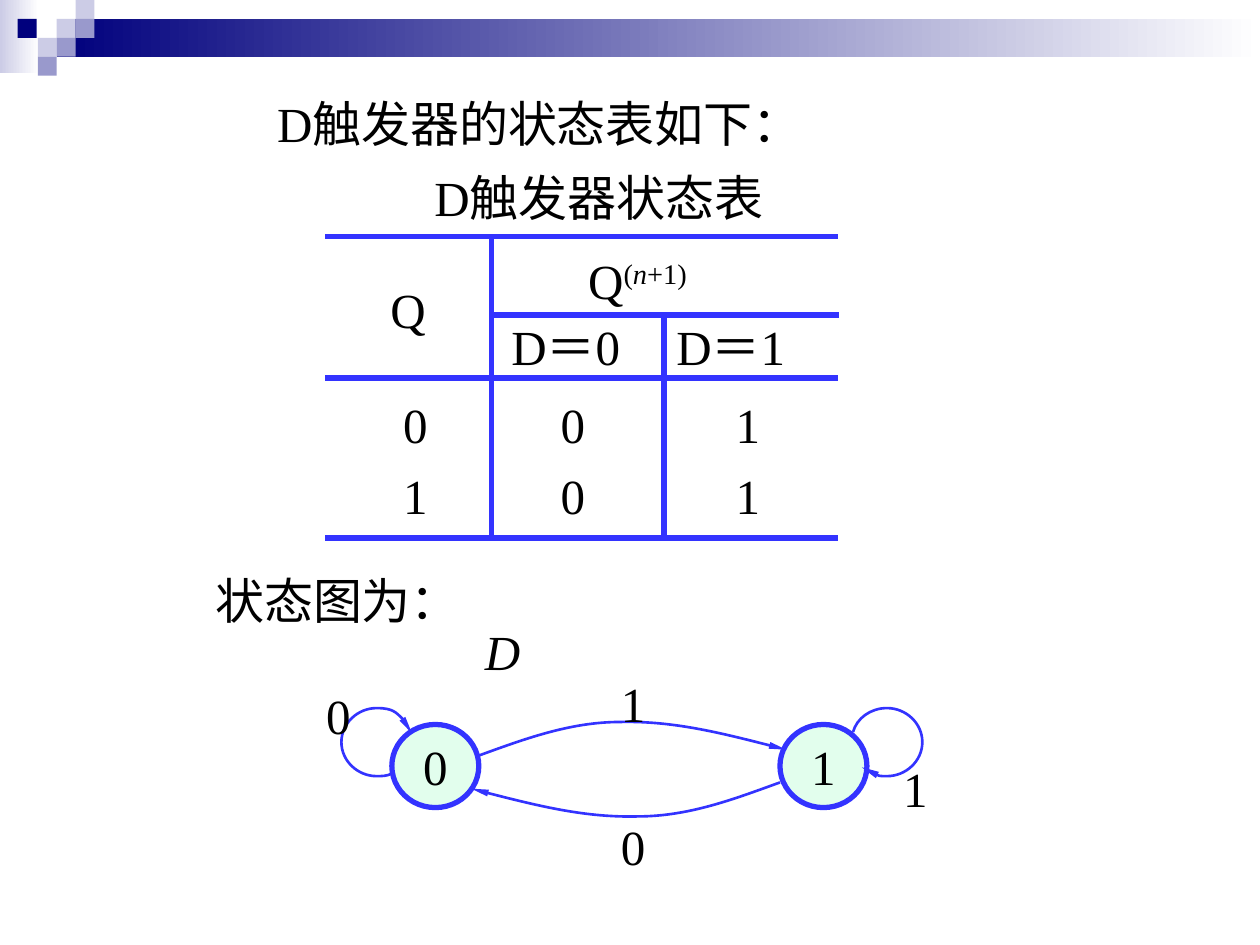
from itertools import chain
from typing import NamedTuple

from lxml import etree
from pptx import Presentation
from pptx.dml.color import RGBColor
from pptx.enum.shapes import MSO_CONNECTOR, MSO_SHAPE
from pptx.enum.text import MSO_ANCHOR, MSO_AUTO_SIZE, PP_ALIGN
from pptx.oxml.ns import qn
from pptx.util import Pt

RECTANGLE, OVAL = MSO_SHAPE.RECTANGLE, MSO_SHAPE.OVAL
STRAIGHT = MSO_CONNECTOR.STRAIGHT
MIDDLE, CENTER = MSO_ANCHOR.MIDDLE, PP_ALIGN.CENTER
FIT_SHAPE = MSO_AUTO_SIZE.SHAPE_TO_FIT_TEXT

SCALE = 9144
FONT, TEXT_SIZE = "Times New Roman", Pt(28)
LABEL_HEIGHT = 57
COLORS = {
    "navy": "00007D",
    "lilac": "9999CC",
    "pale": "CCCCE6",
    "white": "FFFFFF",
    "blue": "3333FF",
    "mint": "E2FEED",
    "black": "000000",
}

Point = tuple[int, int]


class Band(NamedTuple):
    left: int
    top: int
    width: int
    height: int
    start: str


class Tile(NamedTuple):
    left: int
    top: int
    color: str


class Label(NamedTuple):
    left: int
    top: int
    width: int
    text: str
    italic: bool = False


class Column(NamedTuple):
    left: int
    values: tuple[str, str]


class Rule(NamedTuple):
    start: Point
    end: Point


class State(NamedTuple):
    left: int
    name: str


class Curve(NamedTuple):
    start: Point
    segments: list[tuple[Point, Point, Point]]


BANDS = [Band(0, 0, 31, 58, "pale"), Band(45, 15, 955, 30, "navy")]
TILE_SIZE = 15
TILES = [
    Tile(45, 15, "pale"), Tile(60, 0, "pale"), Tile(60, 15, "lilac"),
    Tile(30, 30, "pale"), Tile(14, 15, "navy"), Tile(45, 30, "lilac"),
    Tile(30, 45, "lilac"),
]
RULES = [Rule((258, y), (665, y)) for y in (188, 300, 427)] + [
    Rule((390, 186), (390, 426)),
    Rule((391, 250), (666, 250)),
    Rule((527, 250), (527, 425)),
]
COLUMNS = [Column(310, ("0", "1")), Column(435, ("0", "0")), Column(574, ("1", "1"))]
LABELS = [
    Label(210, 69, 445, "D触发器的状态表如下："),
    Label(335, 128, 294, "D触发器状态表"),
    Label(300, 217, 48, "Q"),
    Label(396, 246, 125, "D＝0"),
    Label(527, 246, 125, "D＝1"),
    Label(161, 448, 214, "状态图为："),
    Label(249, 539, 39, "0"),
    Label(707, 597, 39, "1"),
    Label(375, 488, 48, "D", True),
    Label(483, 530, 39, "1"),
    Label(483, 643, 39, "0"),
]
STATES = [State(311, "0"), State(619, "1")]
CURVES = [
    Curve((379, 600), [((415, 587), (452, 573), (492, 573)),
                       ((533, 572), (578, 583), (624, 595))]),
    Curve((619, 621), [((583, 634), (547, 648), (506, 648)),
                       ((465, 649), (420, 638), (374, 626))]),
    Curve((311, 614), [((307, 616), (303, 616), (299, 616)),
                       ((284, 616), (271, 604), (271, 589)),
                       ((271, 574), (284, 562), (299, 562)),
                       ((312, 562), (323, 571), (327, 582))]),
    Curve((677, 581), [((680, 570), (691, 562), (704, 562)),
                       ((719, 562), (732, 574), (732, 589)),
                       ((732, 604), (719, 616), (704, 616)),
                       ((696, 616), (689, 613), (684, 609))]),
]


def px(*lengths: int) -> list[int]:
    return [length * SCALE for length in lengths]


def rgb(name: str) -> RGBColor:
    return RGBColor.from_string(COLORS[name])


def set_line(shape, width: float) -> None:
    shape.line.color.rgb = rgb("blue")
    shape.line.width = Pt(width)


def set_font(paragraph) -> None:
    paragraph.font.name = FONT
    paragraph.font.size = TEXT_SIZE
    paragraph.font.color.rgb = rgb("black")


def add_plain(page, kind, left: int, top: int, width: int, height: int):
    shape = page.shapes.add_shape(kind, *px(left, top, width, height))
    shape.shadow.inherit = False
    shape.line.fill.background()
    return shape


def add_band(page, band: Band) -> None:
    shape = add_plain(page, RECTANGLE, *band[:4])
    shape.fill.gradient()
    shape.fill.gradient_angle = 0
    for stop, color in zip(shape.fill.gradient_stops, (band.start, "white")):
        stop.color.rgb = rgb(color)


def add_tile(page, tile: Tile) -> None:
    shape = add_plain(page, RECTANGLE, tile.left, tile.top, TILE_SIZE, TILE_SIZE)
    shape.fill.solid()
    shape.fill.fore_color.rgb = rgb(tile.color)


def add_frame(page, left: int, top: int, width: int, height: int):
    frame = page.shapes.add_textbox(*px(left, top, width, height)).text_frame
    frame.word_wrap = False
    frame.auto_size = FIT_SHAPE
    return frame


def add_label(page, label: Label) -> None:
    frame = add_frame(page, label.left, label.top, label.width, LABEL_HEIGHT)
    para = frame.paragraphs[0]
    para.text = label.text
    set_font(para)
    para.font.italic = label.italic


def add_next_state(page) -> None:
    para = add_frame(page, 457, 194, 98, LABEL_HEIGHT).paragraphs[0]
    set_font(para)
    para.add_run().text = "Q"
    for text, italic in (("(", False), ("n", True), ("+1)", False)):
        span = para.add_run()
        span.text = text
        span.font.italic = italic
        span.font._element.set("baseline", "30000")


def add_column(page, column: Column) -> None:
    frame = add_frame(page, column.left, 299, 39, 122)
    frame.text = "\n".join(column.values)
    for para in frame.paragraphs:
        para.line_spacing = 1.2
        set_font(para)


def add_rule(page, rule: Rule) -> None:
    line = page.shapes.add_connector(STRAIGHT, *px(*rule.start, *rule.end))
    set_line(line, 3)
    etree.SubElement(line._element.spPr, qn("a:effectLst"))


def add_state(page, state: State) -> None:
    shape = add_plain(page, OVAL, state.left, 575, 69, 66)
    shape.fill.solid()
    shape.fill.fore_color.rgb = rgb("mint")
    set_line(shape, 3)
    frame = shape.text_frame
    frame.word_wrap = False
    frame.vertical_anchor = MIDDLE
    para = frame.paragraphs[0]
    para.text = state.name
    para.alignment = CENTER
    set_font(para)


def bend_segments(shape) -> None:
    lines = list(shape._element.iter(qn("a:lnTo")))
    for first, second, end in zip(lines[::3], lines[1::3], lines[2::3]):
        first.tag = qn("a:cubicBezTo")
        for line in (second, end):
            first.append(line[0])
            line.getparent().remove(line)


def add_curve(page, curve: Curve) -> None:
    builder = page.shapes.build_freeform(*curve.start, scale=SCALE)
    builder.add_line_segments(list(chain(*curve.segments)), close=False)
    shape = builder.convert_to_shape()
    bend_segments(shape)
    shape.shadow.inherit = False
    shape.fill.background()
    set_line(shape, 1.5)
    outline = shape._element.spPr.find(qn("a:ln"))
    etree.SubElement(outline, qn("a:tailEnd"), type="triangle", w="sm", len="lg")


def main() -> None:
    deck = Presentation()
    deck.slide_width, deck.slide_height = px(1000, 750)
    page = deck.slides.add_slide(deck.slide_layouts[6])
    for draw, items in (
        (add_band, BANDS), (add_tile, TILES), (add_rule, RULES),
        (add_column, COLUMNS), (add_state, STATES), (add_curve, CURVES),
        (add_label, LABELS),
    ):
        for item in items:
            draw(page, item)
    add_next_state(page)
    deck.save("out.pptx")


if __name__ == "__main__":
    main()
